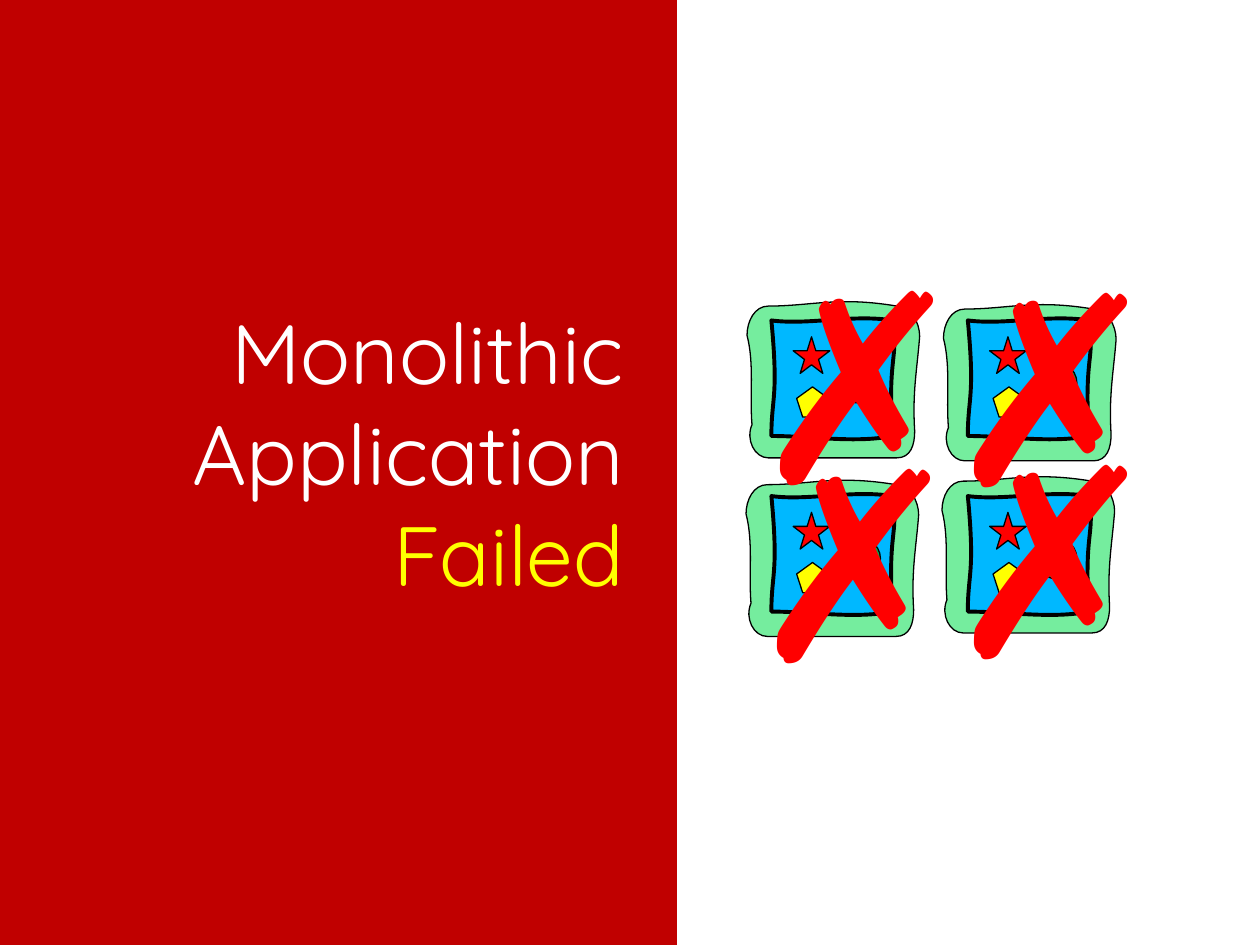
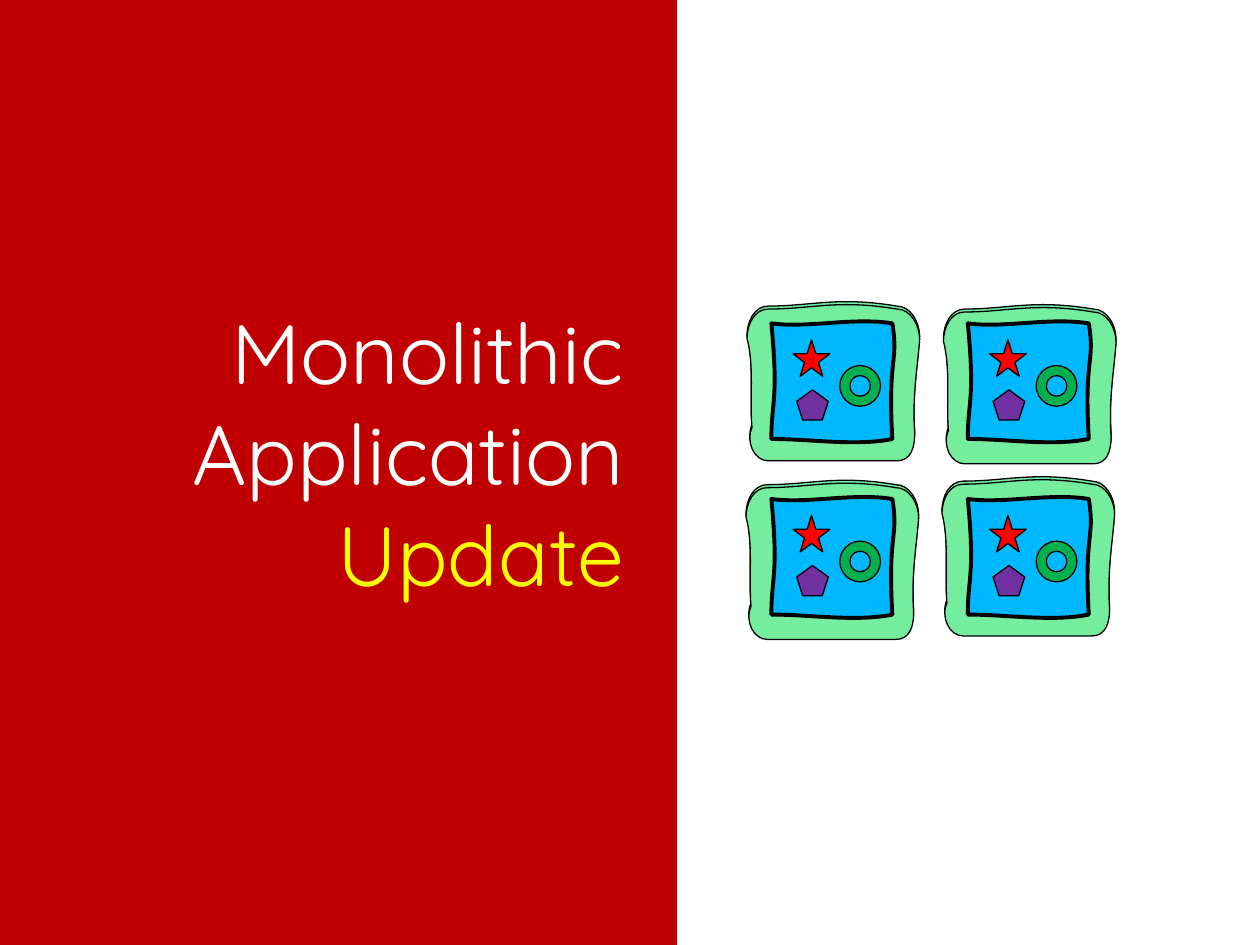
from pptx import Presentation, util as u
from pptx.dml.color import RGBColor
from pptx.enum import shapes, text
from pptx.oxml import ns
from lxml import etree

SLIDES = [
    {"topic": ("Monolithic\vApplication", "Failed"), "pentagon": "FFFF00",
     "failed": True, "updated": False},
    {"topic": ("Monolithic\vApplication", "Update"), "pentagon": "7030A0",
     "failed": False, "updated": True},
]

RED, WHITE, BLACK, YELLOW = "C00000", "FFFFFF", "000000", "FFFF00"
GREEN, BLUE, BRIGHT_RED, RING_GREEN = "75ED9E", "00B8FF", "FF0000", "00B050"

# All lengths are in centimetres.
SLIDE_SIZE = (25.4, 19.05)
PANEL = (-0.53, -0.25, 14.2, 19.63)
TITLE = (2.9, 5.93, 9.93, 6.4)
CROSS_SIZE = (3.91, 6.68)
SCREEN_ORIGIN, SCREEN_PITCH = (15.55, 6.43), (3.96, 3.54)
UPDATE_SHIFT = 0.06

# Hand-placed servers: grid cell, corner of the body
SERVERS = [
    {"cell": (0, 0), "body": (15.06, 6.07)},
    {"cell": (1, 0), "body": (19.02, 6.13)},
    {"cell": (1, 1), "body": (18.99, 9.6)},
    {"cell": (0, 1), "body": (15.04, 9.67)},
]
CROSSES = [(14.87, 4.33), (18.77, 4.37), (14.8, 7.92), (18.77, 7.84)]

# Outlines: a start point, then cubic curves (two controls and an end) or line ends
BODY = ((0, 0.69), [
    ((0, 0.41), (0.15, 0.1), (0.43, 0.1)),
    ((1.3, 0.1), (1.83, -0.1), (3.02, 0.1)),
    ((3.3, 0.1), (3.48, 0.43), (3.48, 0.71)),
    ((3.43, 1.37), (3.33, 1.83), (3.38, 2.62)),
    ((3.38, 2.9), (3.3, 3.16), (3.02, 3.16)),
    ((0.43, 3.16),),
    ((0.15, 3.16), (-0.03, 2.79), (0.1, 2.49)),
    ((0.05, 1.88), (0.15, 1.27), (0, 0.69)),
])
SCREEN = ((0, 0.03), [
    ((0.74, 0.13), (1.65, -0.1), (2.44, 0.03)),
    ((2.57, 0.84), (2.34, 0.69), (2.44, 2.36)),
    ((1.7, 2.51), (0.81, 2.36), (0, 2.36)),
    ((0, 1.57), (0.15, 1.6), (0, 0.03)),
])
KIND = shapes.MSO_SHAPE
STAR = (KIND.STAR_5_POINT, (0.44, 0.36), (0.74, 0.74))
RING = (KIND.DONUT, (1.38, 0.88), (0.82, 0.82))
PENTAGON = (KIND.REGULAR_PENTAGON, (0.51, 1.37), (0.64, 0.61))


def color(value):
    return RGBColor.from_string(value)


def lengths(values):
    return [u.Cm(value) for value in values]


def shifted(point, offset):
    return point[0] + offset[0], point[1] + offset[1]


def paint(shape, fill, line=BLACK, width=0.75):
    shape.shadow.inherit = False
    shape.fill.solid()
    shape.fill.fore_color.rgb = color(fill)
    shape.line.color.rgb = color(line)
    shape.line.width = u.Pt(width)


def set_attributes(target, values):
    for name, value in values.items():
        setattr(target, name, value)


def format_runs(paragraph, hue, **font):
    for run in paragraph.runs:
        set_attributes(run.font, font)
        run.font.color.rgb = color(hue)


def middle(start, first, second, end):
    return tuple((a + 3 * b + 3 * c + d) / 8
                 for a, b, c, d in zip(start, first, second, end))


def bend(shape, segments, corner):
    """Replace the straight path of a freeform by its cubic curves."""
    path = shape._element.find(".//" + ns.qn("a:path"))
    for line in path.findall(ns.qn("a:lnTo")):
        path.remove(line)
    close = path.find(ns.qn("a:close"))
    for segment in segments:
        tag = "a:cubicBezTo" if len(segment) == 3 else "a:lnTo"
        command = etree.Element(ns.qn(tag))
        for point in segment:
            x, y = lengths(shifted(point, corner))
            etree.SubElement(command, ns.qn("a:pt"),
                             x=str(x - shape.left), y=str(y - shape.top))
        close.addprevious(command)


def add_outline(container, outline, corner, fill, width=0.75):
    start, segments = outline
    builder = container.build_freeform(*lengths(shifted(start, corner)))
    points = []
    previous = start
    for segment in segments:  # middles and ends give the frame its extent
        if len(segment) == 3:
            points.append(middle(previous, *segment))
        previous = segment[-1]
        points.append(previous)
    builder.add_line_segments([lengths(shifted(point, corner)) for point in points])
    shape = builder.convert_to_shape()
    bend(shape, segments, corner)
    paint(shape, fill, width=width)


def add_server(slide, server, pentagon, shift):
    group = slide.shapes.add_group_shape().shapes
    cell_corner = [origin + index * pitch for origin, index, pitch
                   in zip(SCREEN_ORIGIN, server["cell"], SCREEN_PITCH)]
    screen = shifted(cell_corner, (0, shift))
    add_outline(group, BODY, shifted(server["body"], (0, shift)), GREEN)
    add_outline(group, SCREEN, screen, BLUE, 2.25)
    for (kind, offset, size), fill in ((STAR, BRIGHT_RED), (RING, RING_GREEN),
                                       (PENTAGON, pentagon)):
        icon = group.add_shape(kind, *lengths(shifted(screen, offset) + size))
        paint(icon, fill)


def add_cross(slide, corner):
    box = slide.shapes.add_textbox(*lengths(corner + CROSS_SIZE))
    set_attributes(box.text_frame, {
        "word_wrap": False, "auto_size": text.MSO_AUTO_SIZE.SHAPE_TO_FIT_TEXT, "text": "✗"})
    format_runs(box.text_frame.paragraphs[0], BRIGHT_RED, name="Arial", size=u.Pt(150))


def add_title_panel(slide, topic):
    title = slide.shapes.title
    set_attributes(title, dict(zip(("left", "top", "width", "height"), lengths(TITLE))))
    frame = title.text_frame
    set_attributes(frame, {
        "word_wrap": False, "auto_size": text.MSO_AUTO_SIZE.SHAPE_TO_FIT_TEXT,
        "vertical_anchor": text.MSO_ANCHOR.TOP})
    for index, (words, hue) in enumerate(zip(topic, (WHITE, YELLOW))):
        paragraph = frame.add_paragraph() if index else frame.paragraphs[0]
        set_attributes(paragraph, {"text": words, "alignment": text.PP_ALIGN.RIGHT})
        format_runs(paragraph, hue, name="Quicksand", size=u.Pt(48))
    panel = slide.shapes.add_shape(KIND.RECTANGLE, *lengths(PANEL))
    paint(panel, RED, WHITE)
    title._element.addprevious(panel._element)  # keep the panel behind the title


def main():
    presentation = Presentation()
    presentation.slide_width, presentation.slide_height = lengths(SLIDE_SIZE)
    for content in SLIDES:
        slide = presentation.slides.add_slide(presentation.slide_layouts[5])
        add_title_panel(slide, content["topic"])
        if content["updated"]:  # the old bodies peep out above the new servers
            for server in SERVERS:
                add_outline(slide.shapes, BODY, server["body"], GREEN)
        for server in SERVERS:
            add_server(slide, server, content["pentagon"],
                       UPDATE_SHIFT if content["updated"] else 0)
        if content["failed"]:
            for corner in CROSSES:
                add_cross(slide, corner)
    presentation.save("out.pptx")


if __name__ == "__main__":
    main()
